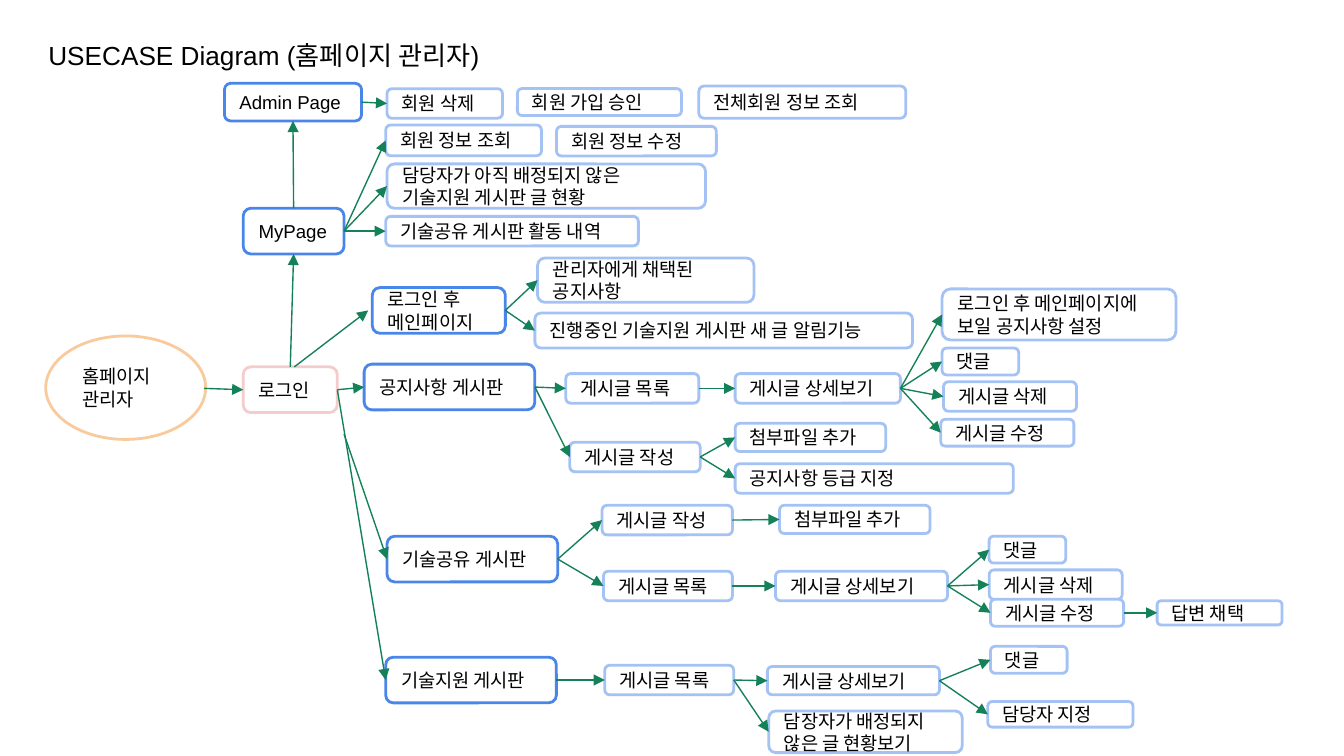
import pptx
import pptx.dml.color
import pptx.enum.shapes
import pptx.enum.text
import pptx.oxml
import pptx.oxml.ns
import pptx.util

PX = 9144
FONT = "Arial"
BLACK = pptx.dml.color.RGBColor(0x00, 0x00, 0x00)
WHITE = pptx.dml.color.RGBColor(0xFF, 0xFF, 0xFF)
BLUE = pptx.dml.color.RGBColor(0x4A, 0x86, 0xE8)
PALE_BLUE = pptx.dml.color.RGBColor(0xA4, 0xC2, 0xF4)
PINK = pptx.dml.color.RGBColor(0xF4, 0xCC, 0xCC)
ORANGE = pptx.dml.color.RGBColor(0xF9, 0xCB, 0x9C)
GREEN = pptx.dml.color.RGBColor(0x15, 0x81, 0x58)

ROUNDED = pptx.enum.shapes.MSO_SHAPE.ROUNDED_RECTANGLE
OVAL = pptx.enum.shapes.MSO_SHAPE.OVAL
TOP, LEFT, BOTTOM, RIGHT = range(4)

PAGES = {
    "admin": ("Admin Page", 167, 62, 102, 28),
    "mypage": ("MyPage", 181, 155, 75, 34),
    "main": ("로그인 후 메인페이지", 277, 214, 99, 34),
    "notice": ("공지사항 게시판", 271, 271, 127, 34),
    "share": ("기술공유 게시판", 288, 399, 127, 34),
    "support": ("기술지원 게시판", 287, 489, 127, 34),
}
FEATURES = {
    "member delete": ("회원 삭제", 288, 66, 86, 22),
    "member approve": ("회원 가입 승인", 385, 66, 122, 20),
    "member list": ("전체회원 정보 조회", 520, 64, 154, 24),
    "profile view": ("회원 정보 조회", 287, 93, 116, 23),
    "profile edit": ("회원 정보 수정", 414, 94, 119, 22),
    "unassigned": ("담당자가 아직 배정되지 않은 기술지원 게시판 글 현황", 288, 122, 237, 33),
    "activity": ("기술공유 게시판 활동 내역", 287, 161, 188, 22),
    "chosen notices": ("관리자에게 채택된 공지사항", 400, 192, 161, 33),
    "new post alert": ("진행중인 기술지원 게시판 새 글 알림기능", 398, 233, 281, 26),
    "notice list": ("게시글 목록", 421, 278, 99, 22),
    "notice detail": ("게시글 상세보기", 547, 278, 123, 22),
    "notice pick": ("로그인 후 메인페이지에 보일 공지사항 설정", 701, 215, 174, 38),
    "notice comment": ("댓글", 701, 259, 57, 20),
    "notice delete": ("게시글 삭제", 702, 284, 99, 22),
    "notice edit": ("게시글 수정", 700, 312, 99, 20),
    "notice write": ("게시글 작성", 424, 329, 97, 22),
    "notice file": ("첨부파일 추가", 547, 315, 112, 21),
    "notice grade": ("공지사항 등급 지정", 547, 345, 207, 22),
    "share write": ("게시글 작성", 448, 376, 97, 22),
    "share file": ("첨부파일 추가", 580, 376, 112, 21),
    "share list": ("게시글 목록", 449, 425, 96, 22),
    "share detail": ("게시글 상세보기", 577, 425, 128, 22),
    "share comment": ("댓글", 736, 399, 57, 20),
    "share delete": ("게시글 삭제", 736, 424, 99, 22),
    "share edit": ("게시글 수정", 737, 446, 99, 20),
    "share answer": ("답변 채택", 861, 447, 93, 18),
    "support list": ("게시글 목록", 450, 495, 96, 22),
    "support detail": ("게시글 상세보기", 571, 496, 128, 21),
    "support comment": ("댓글", 737, 481, 57, 20),
    "support assign": ("담당자 지정", 735, 522, 108, 19),
    "support unassigned": ("담장자가 배정되지 않은 글 현황보기", 572, 529, 144, 31),
}
BRANCHES = {
    "admin": ["member delete"],
    "mypage": ["profile view", "unassigned", "activity"],
    "login": ["notice", "support"],
    "main": ["chosen notices", "new post alert"],
    "notice": ["notice list", "notice write"],
    "notice list": ["notice detail"],
    "notice detail": ["notice pick", "notice comment", "notice delete", "notice edit"],
    "notice write": ["notice file", "notice grade"],
    "share": ["share write", "share list"],
    "share write": ["share file"],
    "share list": ["share detail"],
    "share detail": ["share comment", "share delete", "share edit"],
    "share edit": ["share answer"],
    "support": ["support list"],
    "support list": ["support detail", "support unassigned"],
    "support detail": ["support comment", "support assign"],
}


def write_text(frame, text, *, size=10, anchor=pptx.enum.text.MSO_ANCHOR.MIDDLE):
    frame.word_wrap = True
    frame.auto_size = pptx.enum.text.MSO_AUTO_SIZE.NONE
    frame.vertical_anchor = anchor
    frame.margin_left = frame.margin_right = 10 * PX
    frame.margin_top = frame.margin_bottom = 10 * PX
    frame.text = text
    for para in frame.paragraphs:
        para.alignment = pptx.enum.text.PP_ALIGN.LEFT
        for span in para.runs:
            span.font.name = FONT
            span.font.size = pptx.util.Pt(size)
            span.font.color.rgb = BLACK


def add_title(page, text):
    title = page.shapes.title
    title.left, title.top = 26 * PX, 19 * PX
    title.width, title.height = 464 * PX, 56 * PX
    write_text(title.text_frame, text, size=14, anchor=pptx.enum.text.MSO_ANCHOR.TOP)


def add_box(page, text, left, top, width, height, *, color, kind=ROUNDED):
    box = page.shapes.add_shape(kind, left * PX, top * PX, width * PX, height * PX)
    box.shadow.inherit = False
    box.fill.solid()
    box.fill.fore_color.rgb = WHITE
    box.line.color.rgb = color
    box.line.width = pptx.util.Pt(1.5)
    write_text(box.text_frame, text)
    return box


def add_arrow(page, *, start=(0, 0), end=(0, 0), source=None, target=None,
              source_side=RIGHT, target_side=LEFT):
    arrow = page.shapes.add_connector(
        pptx.enum.shapes.MSO_CONNECTOR.STRAIGHT,
        *(value * PX for value in (*start, *end)))
    if source is not None:
        arrow.begin_connect(source, source_side)
    if target is not None:
        arrow.end_connect(target, target_side)
    arrow.line.color.rgb = GREEN
    arrow.line.width = pptx.util.Pt(0.75)
    namespace = pptx.oxml.ns.nsdecls("a")
    arrow.line._get_or_add_ln().append(
        pptx.oxml.parse_xml(f'<a:tailEnd {namespace} type="triangle"/>'))
    arrow._element.spPr.append(pptx.oxml.parse_xml(f"<a:effectLst {namespace}/>"))


def main():
    deck = pptx.Presentation()
    deck.slide_width = 1000 * PX
    deck.slide_height = deck.slide_width * 9 // 16
    page = deck.slides.add_slide(deck.slide_layouts[5])
    add_title(page, "USECASE Diagram (홈페이지 관리자)")

    add_box(page, "홈페이지\n관리자", 34, 250, 119, 77, color=ORANGE, kind=OVAL)
    boxes = {"login": add_box(page, "로그인", 181, 273, 70, 34, color=PINK)}
    for group, color in ((PAGES, BLUE), (FEATURES, PALE_BLUE)):
        for name, details in group.items():
            boxes[name] = add_box(page, *details, color=color)

    add_arrow(page, start=(152, 289), target=boxes["login"])
    add_arrow(page, start=(219, 273), end=(274, 231))
    add_arrow(page, start=(256, 323), target=boxes["share"])
    for source, target in (("login", "mypage"), ("mypage", "admin")):
        add_arrow(page, source=boxes[source], target=boxes[target],
                  source_side=TOP, target_side=BOTTOM)
    for source, targets in BRANCHES.items():
        for target in targets:
            add_arrow(page, source=boxes[source], target=boxes[target])

    deck.save("out.pptx")


if __name__ == "__main__":
    main()
